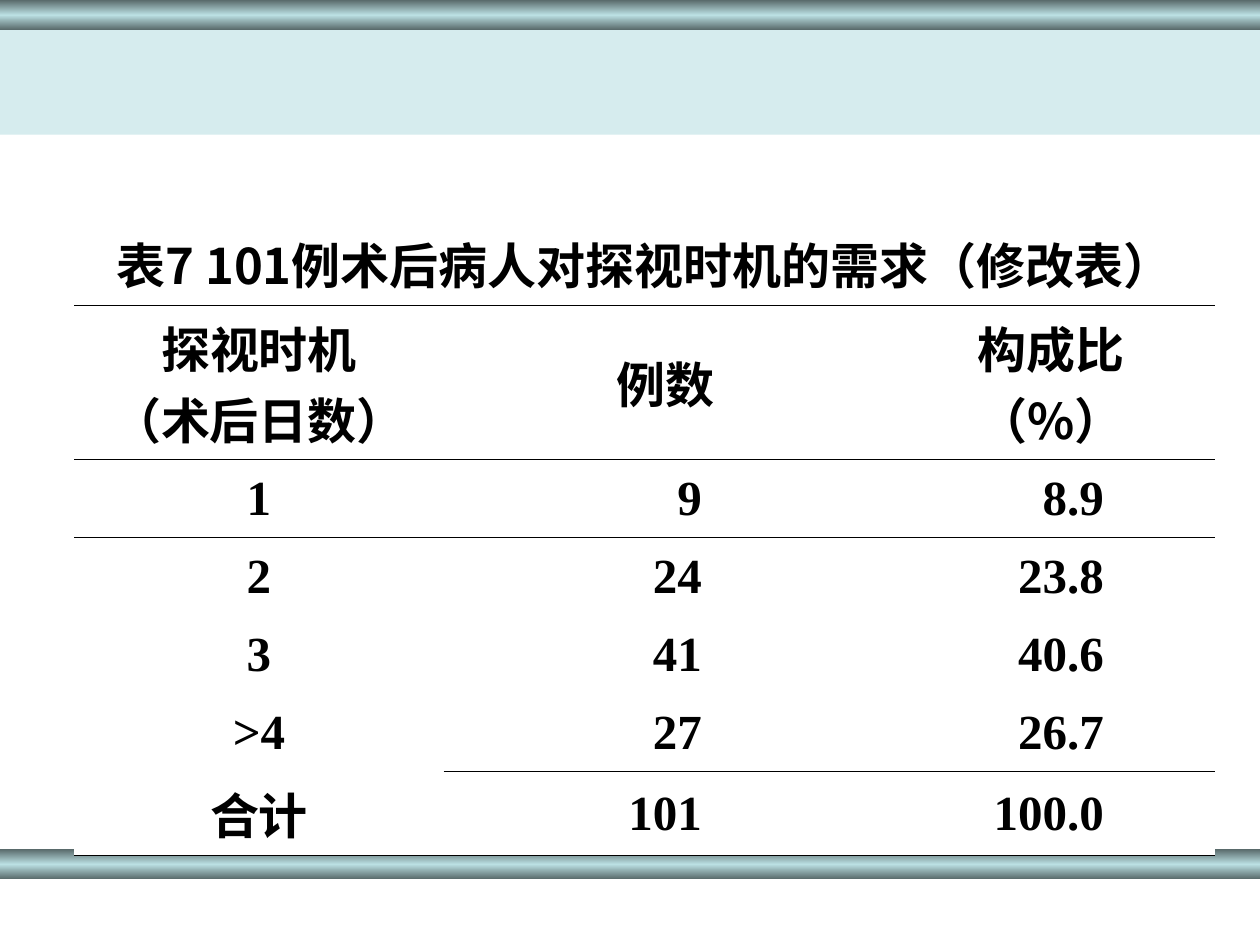
from lxml.etree import SubElement
from copy import deepcopy
from pptx import Presentation
from pptx.dml.color import RGBColor
from pptx.enum.shapes import MSO_SHAPE
from pptx.enum.text import MSO_ANCHOR, PP_ALIGN
from pptx.oxml import parse_xml
from pptx.oxml.ns import nsdecls, qn
from pptx.util import Inches, Pt

SANS, SERIF = "Noto Sans CJK SC", "Times New Roman"
NO_GRID = "{2D5ABB26-0587-4C30-8999-92F81FD0307C}"


def color(code):
    return RGBColor.from_string(code)


def write(frame, text, font=SANS, size=28, bold=True, ink="000000",
          align=PP_ALIGN.CENTER):
    """Put each line of text in its own paragraph."""
    for i, line in enumerate(text.split("\n")):
        para = frame.add_paragraph() if i else frame.paragraphs[0]
        para.alignment = align
        run = para.add_run()
        run.text = line
        run.font.name, run.font.size, run.font.bold = font, Pt(size), bold
        run.font.color.rgb = color(ink)
        SubElement(run.font._element, qn("a:ea"), typeface=SANS)


class Deck:
    dark, light, paper, ink = "576869", "BBE0E3", "FFFFFF", "000000"

    def __init__(self):
        self.file = Presentation()
        self.file.slide_width, self.file.slide_height = Inches(10), Inches(7.5)
        self.slide = self.file.slides.add_slide(self.file.slide_layouts[6])

    def band(self, top, height):
        """Add a plain bar over the full width."""
        bar = self.slide.shapes.add_shape(
            MSO_SHAPE.RECTANGLE, 0, Inches(top), Inches(10), Inches(height))
        bar.shadow.inherit = False
        bar.line.fill.background()
        return bar

    def tint(self, top, height, alpha):
        bar = self.band(top, height)
        bar.fill.solid()
        bar.fill.fore_color.rgb = color(self.light)
        tone = bar._element.spPr.find(".//" + qn("a:srgbClr"))
        SubElement(tone, qn("a:alpha"), val=str(alpha * 1000))

    def tube(self, top, height):
        """Add a bar that is dark at both edges and light in the middle."""
        bar = self.band(top, height)
        bar.fill.gradient()
        bar.fill.gradient_angle = 90
        stops = bar._element.spPr.find(".//" + qn("a:gsLst"))
        stops.append(deepcopy(stops[0]))
        tones = (self.dark, self.light, self.dark)
        for stop, tone, spot in zip(bar.fill.gradient_stops, tones, (0, 0.5, 1)):
            stop.color.rgb, stop.position = color(tone), spot

    def table(self, left, top, cols, rows):
        frame = self.slide.shapes.add_table(
            len(rows), len(cols), Inches(left), Inches(top),
            Inches(sum(cols)), Inches(sum(rows)))
        grid = frame.table
        grid.first_row = grid.horz_banding = False
        grid._tbl.tblPr.find(qn("a:tableStyleId")).text = NO_GRID
        for col, width in zip(grid.columns, cols):
            col.width = Inches(width)
        for row, height in zip(grid.rows, rows):
            row.height = Inches(height)
        for cell in grid.iter_cells():
            cell.fill.solid()
            cell.fill.fore_color.rgb = color(self.paper)
            cell.vertical_anchor = MSO_ANCHOR.MIDDLE
        return grid

    def rule(self, grid, row, first=0):
        """Draw a thin line under a row, from the first column on."""
        for col in range(first, len(grid.columns)):
            self.edge(grid.cell(row, col), "lnB")
            if row + 1 < len(grid.rows):
                self.edge(grid.cell(row + 1, col), "lnT")

    def edge(self, cell, side):
        props = cell._tc.get_or_add_tcPr()
        spot = len(props.findall(qn("a:lnT")))
        props.insert(spot, parse_xml(
            f'<a:{side} {nsdecls("a")} w="{Pt(0.45)}"><a:solidFill>'
            f'<a:srgbClr val="{self.ink}"/></a:solidFill></a:{side}>'))


def main():
    deck = Deck()

    # Background bands
    deck.tube(6.74, 0.24)
    deck.tint(0.16, 0.91, alpha=60)
    deck.tube(0, 0.24)

    # Table title
    grid = deck.table(0.59, 1.76, [2.93, 3.52, 2.6], [0.62, 1.04] + [0.62] * 5)
    title = grid.cell(0, 0)
    title.merge(grid.cell(0, 2))
    title.vertical_anchor = MSO_ANCHOR.TOP
    write(title.text_frame, "表7 101例术后病人对探视时机的需求（修改表）")

    # Column heads
    for col, head in enumerate(["探视时机\n（术后日数）", "例数", "构成比\n（%）"]):
        write(grid.cell(1, col).text_frame, head)

    # Body: figures line up on the right
    body = [("1", "9", "8.9"), ("2", "24", "23.8"), ("3", "41", "40.6"),
            (">4", "27", "26.7"), ("合计", "101", "100.0")]
    pads = (None, 1.47, 0.88)
    for row, items in enumerate(body, 2):
        for col, (item, pad) in enumerate(zip(items, pads)):
            cell = grid.cell(row, col)
            if pad:
                cell.margin_right = Inches(pad)
            write(cell.text_frame, item, font=SERIF,
                  align=PP_ALIGN.RIGHT if pad else PP_ALIGN.CENTER)

    # Rules
    for row, first in ((0, 0), (1, 0), (5, 1), (6, 0)):
        deck.rule(grid, row, first)

    deck.file.save("out.pptx")


if __name__ == "__main__":
    main()
